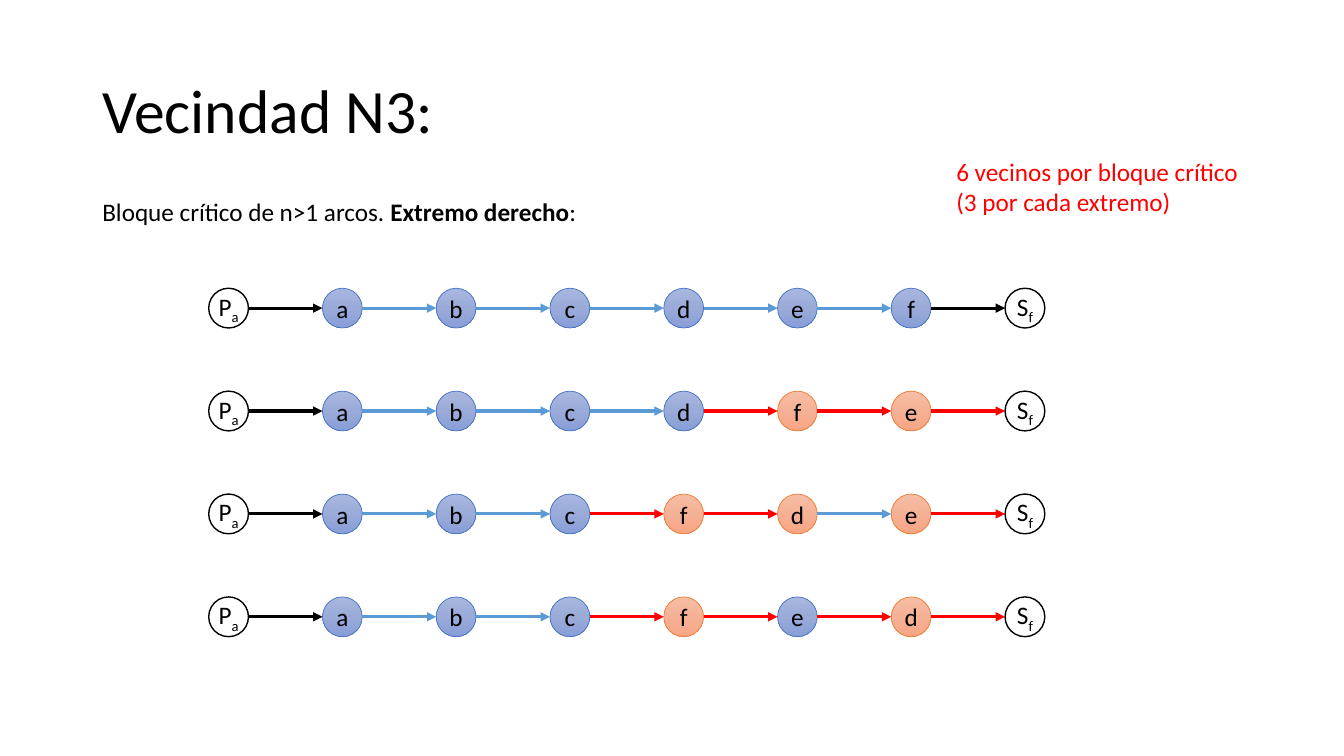
from copy import deepcopy
from dataclasses import dataclass

from lxml import etree
from pptx import Presentation
from pptx.dml.color import RGBColor
from pptx.enum import shapes, text
from pptx.oxml import ns
from pptx.util import Pt


@dataclass(frozen=True)
class Theme:
    font: str = "Calibri"
    title_size: float = 44
    body_size: float = 18
    black: str = "000000"
    white: str = "FFFFFF"
    red: str = "FF0000"
    arc: str = "5B9BD5"
    # Gradient from top to bottom, then outline
    kept: tuple = ("A8B7DF", "9AABD9", "889ED7", "4472C4")
    moved: tuple = ("F7BDA5", "F5B196", "F8A582", "ED7D31")


THEME = Theme()

# Node grid, in points
DIAMETER = 28.4
FIRST_LEFT, COLUMN_STEP = 149.1, 81.26
FIRST_TOP, ROW_STEP = 205.9, 73.5

BLOCK = "abcdef"
NEIGHBOURS = ["abcdef", "abcdfe", "abcfde", "abcfed"]

# Connection sites of an ellipse
ELLIPSE_LEFT, ELLIPSE_RIGHT = 2, 6


def rgb(value):
    return RGBColor.from_string(value)


def add_run(paragraph, content, size=THEME.body_size, color=THEME.black,
            bold=False, subscript=False):
    run = paragraph.add_run()
    run.text = content
    run.font.name = THEME.font
    run.font.size = Pt(size)
    run.font.bold = bold
    run.font.color.rgb = rgb(color)
    if subscript:
        run.font._element.set("baseline", "-25000")


def add_text_box(slide, left, top, width, height, wrap=True):
    box = slide.shapes.add_textbox(Pt(left), Pt(top), Pt(width), Pt(height))
    box.text_frame.word_wrap = wrap
    return box.text_frame


def fill_gradient(shape, colors):
    shape.fill.gradient()
    shape.fill.gradient_angle = 270
    stops = shape.fill.gradient_stops
    first = shape._element.spPr.find(".//" + ns.qn("a:gs"))
    for stop, color in zip(stops, (colors[0], colors[2])):
        stop.color.rgb = rgb(color)
    middle = deepcopy(first)
    middle.set("pos", "50000")
    middle.find(ns.qn("a:srgbClr")).set("val", colors[1])
    first.addnext(middle)


def add_node(slide, column, row, label, index="", colors=None):
    left = FIRST_LEFT + column * COLUMN_STEP
    top = FIRST_TOP + row * ROW_STEP
    node = slide.shapes.add_shape(shapes.MSO_SHAPE.OVAL, Pt(left), Pt(top),
                                  Pt(DIAMETER), Pt(DIAMETER))
    node.shadow.inherit = False
    if colors:
        fill_gradient(node, colors)
        node.line.color.rgb = rgb(colors[3])
        node.line.width = Pt(0.5)
    else:
        node.fill.solid()
        node.fill.fore_color.rgb = rgb(THEME.white)
        node.line.color.rgb = rgb(THEME.black)
        node.line.width = Pt(1)
    frame = node.text_frame
    frame.margin_left = frame.margin_right = Pt(0)
    frame.margin_top = frame.margin_bottom = Pt(0)
    frame.vertical_anchor = text.MSO_ANCHOR.MIDDLE
    paragraph = frame.paragraphs[0]
    paragraph.alignment = text.PP_ALIGN.CENTER
    add_run(paragraph, label)
    if index:
        add_run(paragraph, index, subscript=True)
    return node


def add_arrow(slide, source, target, color):
    middle = source.top + source.height // 2
    arrow = slide.shapes.add_connector(
        shapes.MSO_CONNECTOR.STRAIGHT, source.left + source.width, middle,
        target.left, middle)
    arrow.line.color.rgb = rgb(color)
    arrow.line.width = Pt(2.25)
    etree.SubElement(arrow.line._get_or_add_ln(), ns.qn("a:tailEnd"),
                     type="triangle")
    etree.SubElement(arrow._element.spPr, ns.qn("a:effectLst"))
    # Glue both ends to the ellipses
    joints = arrow._element.nvCxnSpPr.cNvCxnSpPr
    for tag, node, site in (("a:stCxn", source, ELLIPSE_RIGHT),
                            ("a:endCxn", target, ELLIPSE_LEFT)):
        etree.SubElement(joints, ns.qn(tag), id=str(node.shape_id),
                         idx=str(site))


def add_sequence(slide, row, order):
    # Operations out of their place in the block are highlighted
    nodes = [add_node(slide, 0, row, "P", "a")]
    for column, (label, usual) in enumerate(zip(order, BLOCK), start=1):
        colors = THEME.kept if label == usual else THEME.moved
        nodes.append(add_node(slide, column, row, label, colors=colors))
    nodes.append(add_node(slide, len(nodes), row, "S", "f"))

    # Arcs that the block does not have are red
    usual_chain = "P" + BLOCK + "S"
    chain = "P" + order + "S"
    for column, pair in enumerate(zip(chain, chain[1:])):
        if "".join(pair) not in usual_chain:
            color = THEME.red
        elif "P" in pair or "S" in pair:
            color = THEME.black
        else:
            color = THEME.arc
        add_arrow(slide, nodes[column], nodes[column + 1], color)


def main():
    presentation = Presentation()
    presentation.slide_width, presentation.slide_height = Pt(960), Pt(540)
    slide = presentation.slides.add_slide(presentation.slide_layouts[6])

    # Title
    title = add_text_box(slide, 66, 28.8, 828, 104.4)
    title.vertical_anchor = text.MSO_ANCHOR.MIDDLE
    title.paragraphs[0].line_spacing = 0.9
    add_run(title.paragraphs[0], "Vecindad N3:", THEME.title_size)

    # Description of the block
    description = add_text_box(slide, 66, 137, 356.4, 29.1, wrap=False)
    description.auto_size = text.MSO_AUTO_SIZE.SHAPE_TO_FIT_TEXT
    paragraph = description.paragraphs[0]
    add_run(paragraph, "Bloque crítico de n>1 arcos. ")
    add_run(paragraph, "Extremo derecho", bold=True)
    add_run(paragraph, ":")

    # Critical block and its neighbours
    for row, order in enumerate(NEIGHBOURS):
        add_sequence(slide, row, order)

    # Number of neighbours
    count = add_text_box(slide, 676, 107.8, 218.2, 50.9)
    count.auto_size = text.MSO_AUTO_SIZE.SHAPE_TO_FIT_TEXT
    add_run(count.paragraphs[0],
            "6 vecinos por bloque crítico (3 por cada extremo)",
            color=THEME.red)

    presentation.save("out.pptx")


if __name__ == "__main__":
    main()
